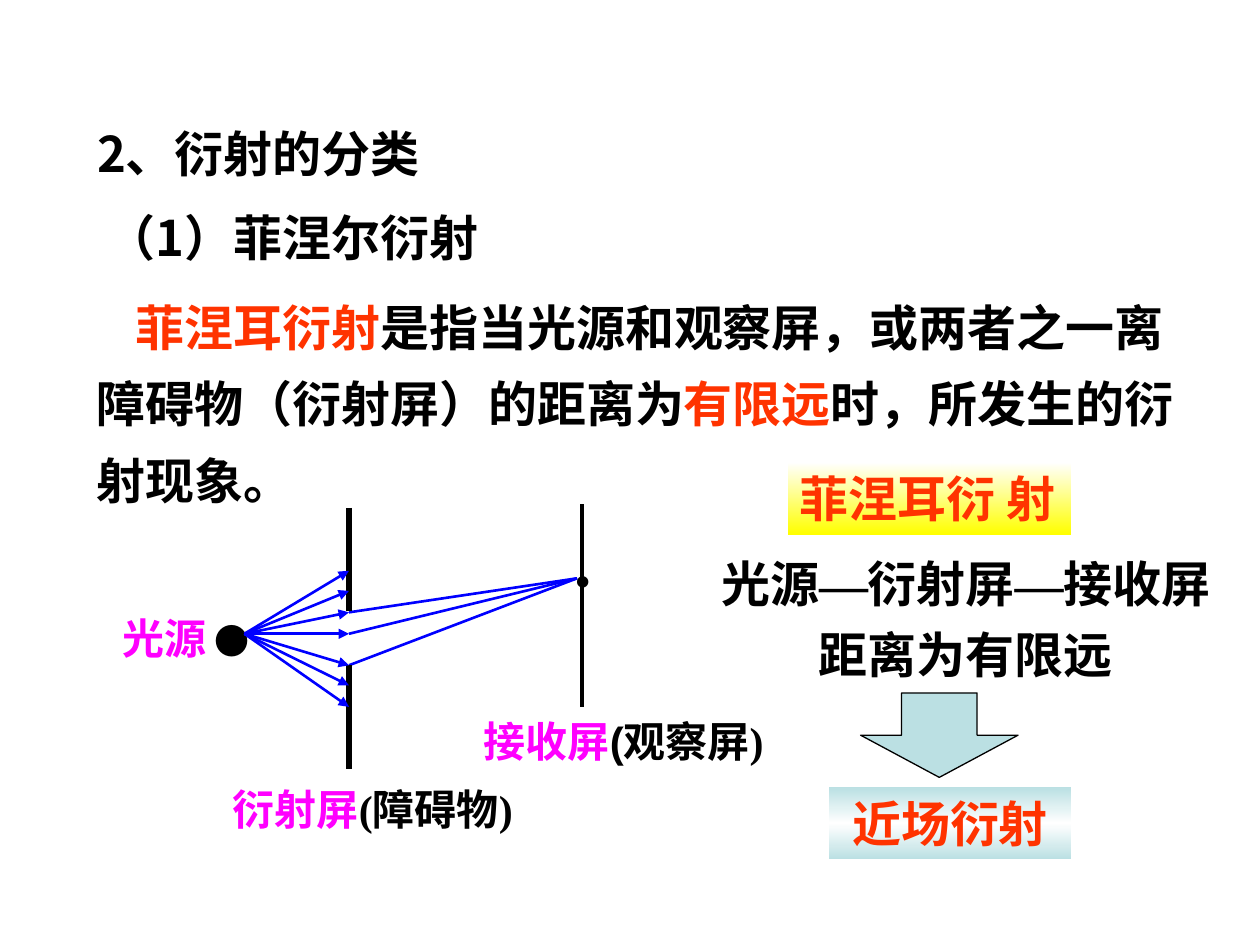
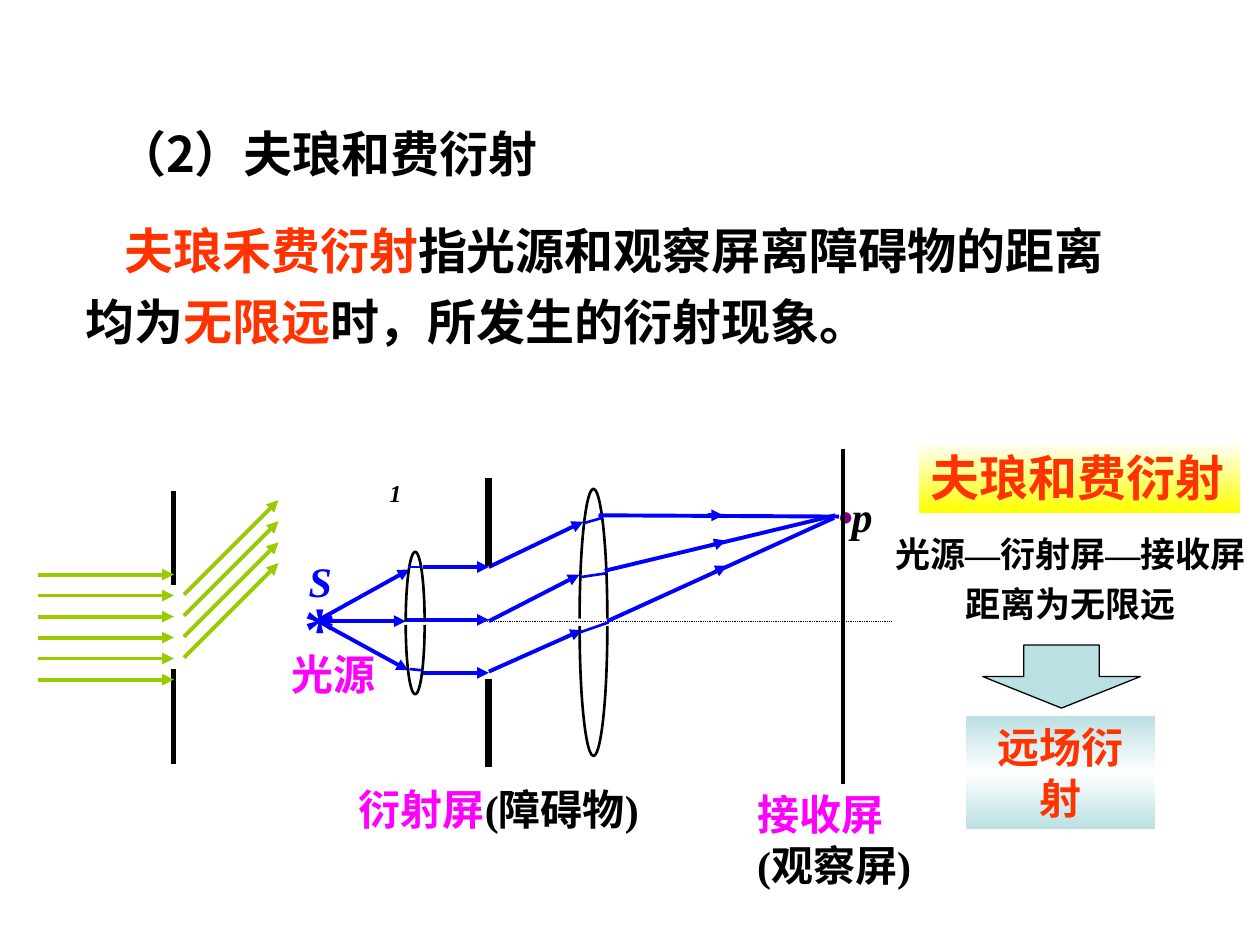
from dataclasses import dataclass

from lxml.etree import SubElement
from pptx import Presentation
from pptx.dml.color import RGBColor
from pptx.enum.dml import MSO_LINE
from pptx.enum.shapes import MSO_CONNECTOR, MSO_SHAPE as SHP
from pptx.enum.text import MSO_ANCHOR as ANCHOR, PP_ALIGN as ALIGN
from pptx.oxml.ns import qn
from pptx.util import Inches, Pt

COLORS = {"black": "000000", "red": "FF3300", "magenta": "FF00FF", "blue": "0000FF",
          "green": "99CC00", "purple": "800080", "teal": "BBE0E3",
          "white": "FFFFFF", "yellow": "FFFF00"}
SANS, SERIF, ARIAL = "Noto Sans CJK SC", "Times New Roman", "Arial"
TIGHT = 0.01


def rgb(name):
    """Return the colour stored under a name."""
    return RGBColor.from_string(COLORS[name])


def add_run(p, text, color="black", size=24, font=SERIF, italic=False, base=None):
    """Append one bold run to a paragraph."""
    r = p.add_run()
    r.text = text
    r.font.size, r.font.bold, r.font.italic = Pt(size), True, italic
    r.font.name, r.font.color.rgb = font, rgb(color)
    rPr = r.font._element
    ea = SubElement(rPr, qn("a:ea"))
    ea.set("typeface", SERIF if text == "—" else SANS)
    if base:
        rPr.set("baseline", str(base * 1000))


def write(tf, *paras, align=ALIGN.LEFT, spacing=1.0, indent=0, inset=None, wrap=True):
    """Fill a text frame with paragraphs, each a list of run tuples."""
    tf.word_wrap, tf.vertical_anchor = wrap, ANCHOR.TOP
    if inset is not None:
        tf.margin_left = tf.margin_right = tf.margin_top = tf.margin_bottom = Inches(inset)
    for i, runs in enumerate(paras):
        p = tf.add_paragraph() if i else tf.paragraphs[0]
        p.alignment, p.line_spacing, p.space_before = align, spacing, Pt(0)
        if indent:
            p._p.get_or_add_pPr().set("indent", str(Inches(indent)))
        for run in runs:
            add_run(p, *run)


@dataclass
class Region:
    """A box on a slide whose parts are placed from its top left corner."""
    s: object
    x: float
    y: float

    def box(self, x, y, w, h):
        """Turn a local box into slide lengths."""
        return [Inches(v) for v in (self.x + x, self.y + y, w, h)]

    def text(self, box, *paras, **style):
        """Add a text box."""
        write(self.s.shapes.add_textbox(*self.box(*box)).text_frame, *paras, **style)

    def shape(self, kind, box, line=None, width=0.75, fill=None):
        """Add a preset shape with an optional plain or graded fill."""
        sp = self.s.shapes.add_shape(kind, *self.box(*box))
        sp.shadow.inherit = False
        if line:
            sp.line.color.rgb, sp.line.width = rgb(line), Pt(width)
        else:
            sp.line.fill.background()
        if not fill:
            sp.fill.background()
        elif len(fill) == 1:
            sp.fill.solid()
            sp.fill.fore_color.rgb = rgb(fill[0])
        else:
            sp.fill.gradient()
            sp.fill.gradient_angle = 270
            stops = sp._element.spPr.find(qn("a:gradFill")).find(qn("a:gsLst"))
            for gs in list(stops):
                stops.remove(gs)
            for i, name in enumerate(fill):
                gs = SubElement(stops, qn("a:gs"), pos=str(100000 * i // (len(fill) - 1)))
                SubElement(gs, qn("a:srgbClr"), val=COLORS[name])
        return sp

    def line(self, x1, y1, x2, y2, color="black", width=2.25, arrow=False):
        """Add a straight line, with an arrowhead at its end if asked."""
        ends = self.box(x1, y1, 0, 0)[:2] + self.box(x2, y2, 0, 0)[:2]
        c = self.s.shapes.add_connector(MSO_CONNECTOR.STRAIGHT, *ends)
        c.line.color.rgb, c.line.width = rgb(color), Pt(width)
        if arrow:
            SubElement(c.line._get_or_add_ln(), qn("a:tailEnd"), type="triangle")
        SubElement(c._element.spPr, qn("a:effectLst"))
        return c

    def lines(self, *ends, **style):
        """Add several lines of one style."""
        for e in ends:
            self.line(*e, **style)

    def lens(self, x, y, w, h, gap):
        """Draw a thin lens as two half ellipses parted by a gap."""
        for dy, start, stop in ((0, 108, 0), (gap, 0, 108)):
            arc = self.shape(SHP.ARC, (x, y + dy, w, h), "black", 1.5)
            arc.adjustments[0], arc.adjustments[1] = start, stop


def add_slide(prs, title, box):
    """Add a title-only slide and set its title."""
    s = prs.slides.add_slide(prs.slide_layouts[5])
    t = s.shapes.title
    t.left, t.top, t.width, t.height = Region(s, 0, 0).box(*box)
    write(t.text_frame, [(title, "black", 28, SANS)])
    return s


def definition(s, box, spacing, *parts):
    """Write a definition, its first and third parts in red."""
    runs = [(t, "black" if i % 2 else "red", 28, SANS) for i, t in enumerate(parts)]
    Region(s, *box[:2]).text((0, 0, *box[2:]), runs, spacing=spacing, indent=0.31)


def conclusion(s, x, y, name, name_w, name_dx, distance, box, size, arrow, field, field_box, field_size):
    """Stack the name, the distance condition, a down arrow and the field type."""
    g = Region(s, x, y)
    sp = g.shape(SHP.RECTANGLE, (name_dx, 0, name_w, 0.57), fill=("white", "yellow"))
    write(sp.text_frame, [(name, "red", 28)], wrap=False)
    words = ("光源", "—", "衍射屏", "—", "接收屏" + distance)
    g.text(box, [(w, "black", size) for w in words], align=ALIGN.CENTER, spacing=1.2)
    sp = g.shape(SHP.DOWN_ARROW, arrow, "black", fill=("teal",))
    sp.adjustments[0], sp.adjustments[1] = 0.48, 0.5
    sp = g.shape(SHP.RECTANGLE, field_box, fill=("teal", "white", "teal"))
    write(sp.text_frame, [(field, "red", field_size)], align=ALIGN.CENTER)


def near_diagram(s, x, y):
    """Draw a point source, a slit and a screen at finite distance."""
    g = Region(s, x, y)
    slit, screen = 1.81, 3.66
    passing = (0.86, 1.03, 1.28)
    g.line(screen, 0, screen, 1.61, width=2)
    g.lines(*[(slit, ray, 3.62, 0.59) for ray in passing], color="blue", width=1.5)
    g.text((0, 0.85, 1.26, 0.42), [("光源", "magenta"), (" ●", "black", 20, SANS)], inset=TIGHT)
    g.text((3.57, 0.24, 0.46, 0.51), [("·", "black", 40)], inset=TIGHT)
    g.text((2.87, 1.67, 2.5, 0.51),
           [("接收屏", "magenta"), ("(", "black", 24, ARIAL), ("观察屏)",)], inset=TIGHT)
    g.lines((slit, 0.03, slit, 0.85), (slit, 1.28, slit, 2.1), width=3)
    g.lines(*[(0.98, 1.03, slit, ray) for ray in (0.53, 0.69, *passing, 1.44, 1.61)],
            color="blue", width=1.5, arrow=True)
    g.text((0.79, 2.17, 2.42, 0.5), [("衍射屏", "magenta"), ("(障碍物)",)])


def parallel_beam(s, x, y):
    """Draw parallel light reaching a slit and leaving it at an angle."""
    g = Region(s, x, y)
    slit, step = 1.08, 1 / 6
    g.lines((slit, 0, slit, 0.74), (slit, 1.41, slit, 2.16), width=3)
    incoming = [(0, 0.66 + i * step, slit, 0.66 + i * step) for i in range(6)]
    outgoing = [(1.16, 0.82 + i * step, 1.91, 0.07 + i * step) for i in range(4)]
    g.lines(*incoming, *outgoing, color="green", arrow=True)


def far_diagram(s, x, y):
    """Draw a source, two lenses, a slit and a screen in the focal plane."""
    g = Region(s, x, y)
    slit, screen = 1.58, 4.39
    axis = g.line(0.22, 1.37, 4.77, 1.37, width=0.5)
    axis.line.dash_style = MSO_LINE.ROUND_DOT
    g.lines((0.92, 1.36, slit, 1.36), (1.06, 0.94, slit, 0.94), (1.06, 1.78, slit, 1.78),
            (0.23, 1.37, 0.92, 1.37), (0.23, 1.36, 0.95, 0.96), (0.19, 1.35, 0.94, 1.76),
            (slit, 1.37, 2.3, 1), (slit, 0.94, 2.33, 0.58), (slit, 1.77, 2.32, 1.44),
            color="blue", arrow=True)
    for box, run in (((0.11, 1.1, 0.3, 0.55), ("*", "blue", 36)),
                     ((0.14, 0.84, 0.3, 0.35), ("S", "blue", 24, SERIF, True)),
                     ((4.31, 0.17, 0.41, 0.52), ("·", "purple", 40)),
                     ((4.45, 0.32, 0.3, 0.41), ("p", "black", 24, SERIF, True)),
                     ((0.78, 0, 0.42, 0.33), ("1", "black", 24, SERIF, True, -25)),
                     ((0, 1.58, 0.92, 0.35), ("光源", "magenta"))):
        g.text(box, [run], inset=TIGHT)
    g.lines((slit, 0.23, slit, 0.93), (slit, 1.83, slit, 2.53), width=4)
    g.lens(0.92, 0.82, 0.15, 1.1, 0.03)
    g.lens(2.3, 0.32, 0.22, 2.06, 0.06)
    g.line(screen, 0, screen, 2.66, width=2)
    g.lines((0.94, 0.94, 1.04, 0.94), (0.95, 1.75, 1.05, 1.76), (2.3, 1.46, 2.53, 1.38),
            (2.31, 1.02, 2.51, 0.99), (2.34, 0.59, 2.48, 0.55), color="blue", width=1.5)
    g.lines((2.45, 0.53, 4.36, 0.54), (2.5, 0.97, 4.33, 0.53), (2.52, 1.37, 4.32, 0.55),
            color="blue")
    g.lines((3.32, 0.53, 3.44, 0.53), (3.34, 0.77, 3.46, 0.73), (3.37, 0.98, 3.47, 0.93),
            color="blue", arrow=True)
    g.text((0.45, 2.61, 2.65, 0.5), [("衍射屏", "magenta"), ("(障碍物)",)])
    g.text((3.7, 2.69, 1.47, 0.72), [("接收屏", "magenta")],
           [("(",), ("观察屏", "black", 24, ARIAL), (")",)], inset=TIGHT)


def near_slide(prs):
    """Build the slide on near-field diffraction."""
    s = add_slide(prs, "2、衍射的分类", (0.67, 0.93, 3, 0.57))
    Region(s, 0.75, 1.6).text((0, 0, 3.58, 0.57), [("（1）菲涅尔衍射", "black", 28, SANS)])
    definition(s, (0.67, 2.17, 9, 1.92), 1.3, "菲涅耳衍射",
               "是指当光源和观察屏，或两者之一离障碍物（衍射屏）的距离为",
               "有限远", "时，所发生的衍射现象。")
    near_diagram(s, 0.96, 4)
    conclusion(s, 5.58, 3.67, "菲涅耳衍 射", 2.25, 0.67,
               "距离为有限远", (0, 0.58, 4.17, 1.22), 28, (1.25, 1.83, 1.25, 0.67),
               "近场衍射", (1, 2.58, 1.92, 0.57), 28)


def far_slide(prs):
    """Build the slide on far-field diffraction."""
    s = add_slide(prs, "（2）夫琅和费衍射", (0.83, 0.93, 3.75, 0.57))
    definition(s, (0.58, 1.61, 8.5, 1.22), 1.2, "夫琅禾费衍射",
               "指光源和观察屏离障碍物的距离均为", "无限远", "时，所发生的衍射现象。")
    parallel_beam(s, 0.3, 3.9)
    far_diagram(s, 2.3, 3.56)
    conclusion(s, 6.99, 3.5, "夫琅和费衍射", 2.55, 0.3,
               "距离为无限远", (0, 0.61, 3.01, 0.9), 20, (0.81, 1.62, 1.25, 0.5),
               "远场衍射", (0.68, 2.18, 1.5, 0.9), 24)


def main():
    """Build and save the presentation."""
    prs = Presentation()
    prs.slide_width, prs.slide_height = Inches(10), Inches(7.5)
    near_slide(prs)
    far_slide(prs)
    prs.save("out.pptx")


if __name__ == "__main__":
    main()
